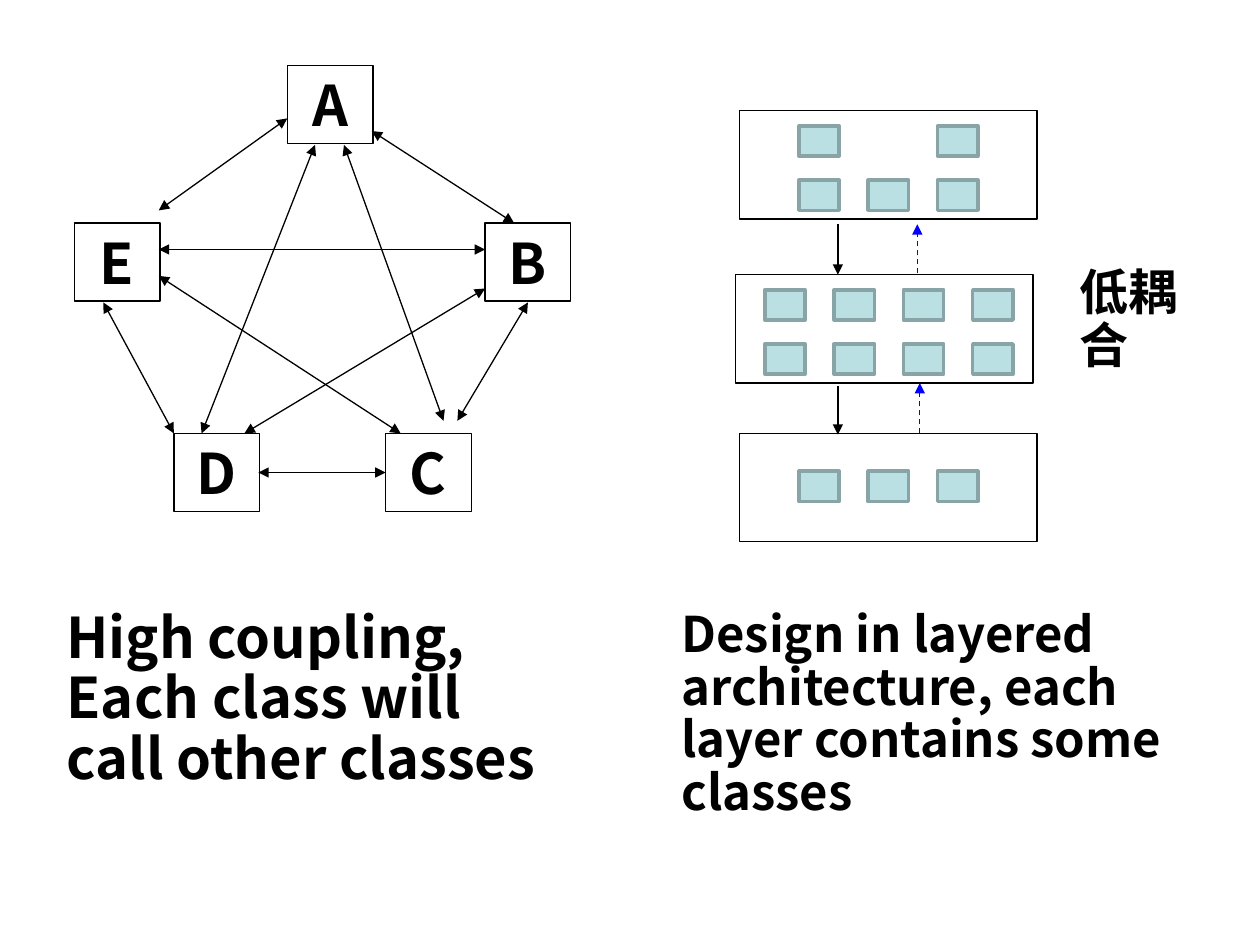
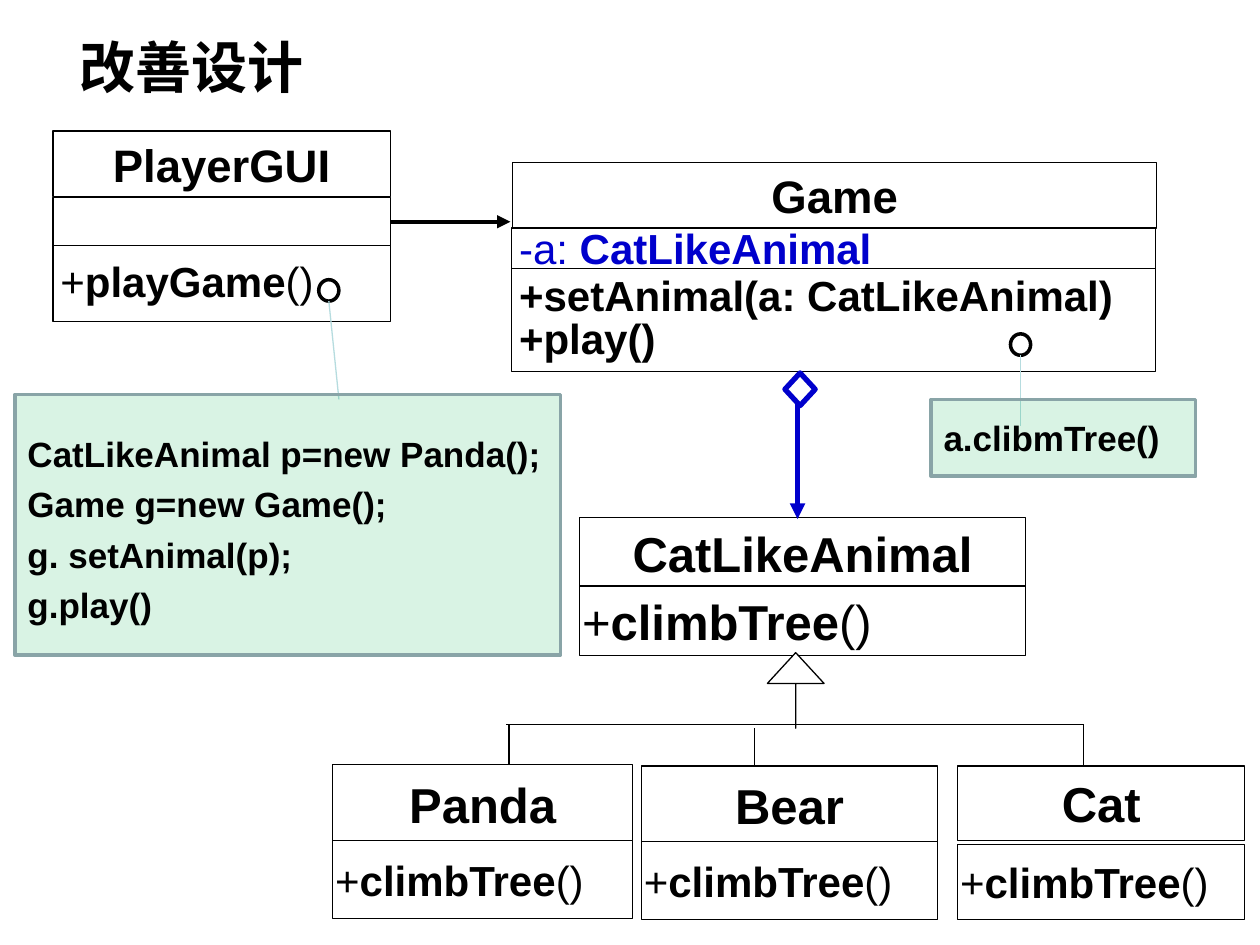
from dataclasses import dataclass

from lxml import etree
from pptx import Presentation
from pptx.dml.color import RGBColor
from pptx.enum.dml import MSO_LINE
from pptx.enum.shapes import MSO_CONNECTOR, MSO_SHAPE
from pptx.enum.text import MSO_ANCHOR, MSO_AUTO_SIZE, PP_ALIGN
from pptx.oxml.ns import qn
from pptx.util import Inches, Pt

RECT, OVAL = MSO_SHAPE.RECTANGLE, MSO_SHAPE.OVAL
DIAMOND, UP_ARROW = MSO_SHAPE.DIAMOND, MSO_SHAPE.UP_ARROW
STRAIGHT = MSO_CONNECTOR.STRAIGHT
DASH = MSO_LINE.DASH
MIDDLE, TOP = MSO_ANCHOR.MIDDLE, MSO_ANCHOR.TOP
LEFT, CENTER, JUSTIFY = PP_ALIGN.LEFT, PP_ALIGN.CENTER, PP_ALIGN.JUSTIFY
GROW = MSO_AUTO_SIZE.SHAPE_TO_FIT_TEXT


@dataclass(frozen=True)
class Theme:
    black: str = "000000"
    white: str = "FFFFFF"
    member_blue: str = "0000CC"
    callback_blue: str = "0000FF"
    class_fill: str = "BBE0E3"
    class_edge: str = "89A4A7"
    note_fill: str = "00B050"
    note_opacity: int = 15
    note_link: str = "B6DCDF"
    heading_font: str = "Noto Sans CJK SC"
    uml_font: str = "Arial"
    heading: int = 32
    caption: int = 28
    base_name: int = 28
    class_name: int = 26
    member: int = 24
    note: int = 20
    thin: float = 0.75
    edge: float = 2
    call: float = 2.5
    aggregation: float = 3


THEME = Theme()
WIDE_INSETS = (0.1, 0.05, 0.1, 0.05)
NAME_INSETS = (0.06, 0.03, 0.06, 0.03)
MEMBER_INSETS = (0.02, 0.03, 0.06, 0.03)


def set_values(target, values):
    for name, value in values.items():
        setattr(target, name, value)


def write(shape, text, size, font=THEME.uml_font, color=THEME.black, align=LEFT,
          spacing=1.0, insets=WIDE_INSETS, anchor=MIDDLE, wrap=True):
    """Fill a shape with lines of text; **double stars** mark bold."""
    frame = shape.text_frame
    sides = ("margin_left", "margin_top", "margin_right", "margin_bottom")
    set_values(frame, {"word_wrap": wrap, "vertical_anchor": anchor})
    set_values(frame, dict(zip(sides, map(Inches, insets))))
    for index, line in enumerate(text.split("\n")):
        paragraph = frame.add_paragraph() if index else frame.paragraphs[0]
        set_values(paragraph, {"alignment": align, "line_spacing": spacing})
        for part, words in enumerate(line.split("**")):
            if not words:
                continue
            run = paragraph.add_run()
            run.text = words
            set_values(run.font, {"name": font, "size": Pt(size), "bold": part % 2 == 1})
            run.font.color.rgb = RGBColor.from_string(color)
            east_asian = etree.SubElement(run.font._element, qn("a:ea"))
            east_asian.set("typeface", font)


def add_box(slide, place, kind=RECT, fill=THEME.white, line=THEME.black,
            width=THEME.thin, opacity=None):
    box = slide.shapes.add_shape(kind, *map(Inches, place))
    box.shadow.inherit = False
    if fill is None:
        box.fill.background()
    else:
        box.fill.solid()
        box.fill.fore_color.rgb = RGBColor.from_string(fill)
    if opacity is not None:
        color = box.element.spPr.find(".//" + qn("a:srgbClr"))
        etree.SubElement(color, qn("a:alpha")).set("val", str(opacity * 1000))
    box.line.color.rgb = RGBColor.from_string(line)
    box.line.width = Pt(width)
    return box


def add_link(slide, start, end, color=THEME.black, width=THEME.thin, dash=None, ends=()):
    """Draw a line; ends names the arrowheads, headEnd before tailEnd."""
    link = slide.shapes.add_connector(STRAIGHT, *map(Inches, start + end))
    link.line.color.rgb = RGBColor.from_string(color)
    set_values(link.line, {"width": Pt(width), "dash_style": dash})
    properties = link.element.spPr
    outline = properties.find(qn("a:ln"))
    for end_tag in ends:
        etree.SubElement(outline, qn("a:" + end_tag)).set("type", "triangle")
    etree.SubElement(properties, qn("a:effectLst"))


def add_heading(slide, place, text, size, spacing=0.9, wrap=True):
    box = slide.shapes.add_textbox(*map(Inches, place))
    write(box, f"**{text}**".replace("\n", "**\n**"), size, THEME.heading_font,
          spacing=spacing, anchor=TOP, wrap=wrap)
    box.text_frame.auto_size = GROW


def add_compartment(slide, place, text, size, **style):
    values = {"align": JUSTIFY, "insets": NAME_INSETS} | style
    write(add_box(slide, place), text, size, **values)


def add_animal(slide, left, width, name_row, method_row, name, method_size):
    """Class with a name row and a climbTree row; rows are (top, height)."""
    for (top, height), text, size, align, insets in (
            (name_row, f"**{name}**", THEME.base_name, CENTER, NAME_INSETS),
            (method_row, "+**climbTree**()", method_size, JUSTIFY, MEMBER_INSETS)):
        add_compartment(slide, (left, top, width, height), text, size,
                        align=align, insets=insets)


def add_note(slide, ring, link_end, place, text, **style):
    """Note tied to a method by a ring and a thin line."""
    left, top = ring
    size = (0.16, 0.17)
    add_box(slide, ring + size, OVAL, width=THEME.edge)
    add_link(slide, (left + size[0] / 2, top + size[1]), link_end, THEME.note_link)
    note = add_box(slide, place, fill=THEME.note_fill, line=THEME.class_edge,
                   width=THEME.edge, opacity=THEME.note_opacity)
    write(note, text, THEME.note, **style)


def add_layer(slide, left, top, first_class, cells):
    """Layer frame holding small classes at (column, row) cells."""
    add_box(slide, (left, top, 2.36, 0.86), fill=None)
    x, y = first_class
    for column, row in cells:
        add_box(slide, (x + 0.55 * column, y + 0.43 * row, 0.32, 0.24),
                fill=THEME.class_fill, line=THEME.class_edge, width=THEME.edge)


def build_coupling(slide):
    # Five classes that all call each other
    for name, left, top in (("A", 2.28, 0.52), ("E", 0.59, 1.77), ("B", 3.85, 1.77),
                            ("C", 3.06, 3.44), ("D", 1.38, 3.44)):
        write(add_box(slide, (left, top, 0.68, 0.62)), f"**{name}**", THEME.heading,
              THEME.heading_font, align=CENTER, wrap=False)
    mutual_calls = (
        ((2.28, 0.94), (1.26, 1.67)), ((2.5, 1.15), (1.6, 3.44)),
        ((2.95, 1.04), (4.08, 1.77)), ((3.85, 1.98), (1.26, 1.98)),
        ((2.73, 1.15), (3.52, 3.34)), ((0.82, 2.4), (1.38, 3.44)),
        ((4.19, 2.4), (3.63, 3.34)), ((3.06, 3.75), (2.05, 3.75)),
        ((3.85, 2.29), (1.94, 3.44)), ((3.18, 3.44), (1.26, 2.19)))
    for start, end in mutual_calls:
        add_link(slide, start, end, ends=("headEnd", "tailEnd"))

    # Three layers
    add_layer(slide, 5.87, 0.88, (6.34, 1.0), ((0, 0), (2, 0), (0, 1), (1, 1), (2, 1)))
    add_layer(slide, 5.84, 2.18, (6.07, 2.3),
              [(column, row) for row in range(2) for column in range(4)])
    add_layer(slide, 5.87, 3.44, (6.34, 3.74), ((0, 0), (1, 0), (2, 0)))

    # Calls down and callbacks up
    for x, start, end in ((6.65, 1.78, 2.18), (6.65, 3.06, 3.45)):
        add_link(slide, (x, start), (x, end), ends=("tailEnd",))
    for x, start, end in ((7.3, 3.44, 3.04), (7.28, 2.17, 1.78)):
        add_link(slide, (x, start), (x, end), THEME.callback_blue, dash=DASH,
                 ends=("tailEnd",))

    # Captions
    add_heading(slide, (0.43, 4.79, 4.1, 1.54),
                "High coupling,\nEach class will\ncall other classes", THEME.heading)
    add_heading(slide, (5.31, 4.79, 4.18, 1.78),
                "Design in layered architecture, each layer contains some classes",
                THEME.caption)
    add_heading(slide, (8.47, 2.08, 1.26, 0.94), "低耦合", THEME.caption)


def build_improved_design(slide):
    add_heading(slide, (0.53, 0.21, 2.09, 0.64), "改善设计", THEME.heading,
                spacing=1.0, wrap=False)

    # Game
    add_compartment(slide, (4.07, 1.29, 5.11, 0.52), "**Game**", THEME.class_name,
                    align=CENTER)
    add_compartment(slide, (4.06, 1.81, 5.11, 0.38), "-a: **CatLikeAnimal**",
                    THEME.member, color=THEME.member_blue, spacing=0.8)
    add_compartment(slide, (4.06, 2.13, 5.11, 0.82),
                    "**+setAnimal(a: CatLikeAnimal)**\n**+play()**",
                    THEME.member, spacing=0.86)

    # PlayerGUI
    add_compartment(slide, (0.42, 1.04, 2.68, 0.52), "**PlayerGUI**", THEME.class_name,
                    align=CENTER)
    add_box(slide, (0.42, 1.57, 2.68, 0.39))
    add_compartment(slide, (0.42, 1.95, 2.68, 0.6), "+**playGame**()", THEME.member,
                    spacing=0.96)
    add_link(slide, (3.1, 1.76), (4.05, 1.76), width=THEME.call, ends=("tailEnd",))

    # Notes with method bodies
    add_note(slide, (2.53, 2.22), (2.69, 3.17), (0.12, 3.13, 4.33, 2.07),
             "**CatLikeAnimal p=new Panda();**\n**Game g=new Game();**\n"
             "**g. setAnimal(p);**\n**g.play()**", align=JUSTIFY, spacing=1.2)
    add_note(slide, (8.02, 2.65), (8.1, 3.38), (7.39, 3.17, 2.1, 0.61),
             "**a.clibmTree()**")

    # Base class and inheritance tree
    add_animal(slide, 4.6, 3.54, (4.11, 0.55), (4.65, 0.55), "CatLikeAnimal",
               THEME.base_name)
    inheritance = add_box(slide, (6.09, 5.18, 0.45, 0.6), UP_ARROW)
    inheritance.adjustments[0] = 0
    inheritance.adjustments[1] = 0.544
    add_link(slide, (4.02, 5.75), (8.6, 5.75))
    for x, top, bottom in ((4.04, 5.75, 6.47), (5.99, 5.78, 6.51), (8.6, 5.75, 6.47)):
        add_link(slide, (x, top), (x, bottom))

    # Subclasses
    for name, left, width, name_row, method_row in (
            ("Panda", 2.64, 2.38, (6.07, 0.62), (6.67, 0.62)),
            ("Bear", 5.09, 2.35, (6.08, 0.62), (6.68, 0.62)),
            ("Cat", 7.6, 2.28, (6.08, 0.59), (6.7, 0.6))):
        add_animal(slide, left, width, name_row, method_row, name, THEME.member)

    # Aggregation from Game to CatLikeAnimal
    add_link(slide, (6.33, 3.19), (6.33, 4.12), THEME.member_blue, THEME.aggregation,
             ends=("tailEnd",))
    add_box(slide, (6.23, 2.96, 0.24, 0.26), DIAMOND, line=THEME.member_blue,
            width=THEME.aggregation)


def main():
    deck = Presentation()
    set_values(deck, {"slide_width": Inches(10), "slide_height": Inches(7.5)})
    blank = deck.slide_layouts[6]
    for build in (build_coupling, build_improved_design):
        build(deck.slides.add_slide(blank))
    deck.save("out.pptx")


if __name__ == "__main__":
    main()
